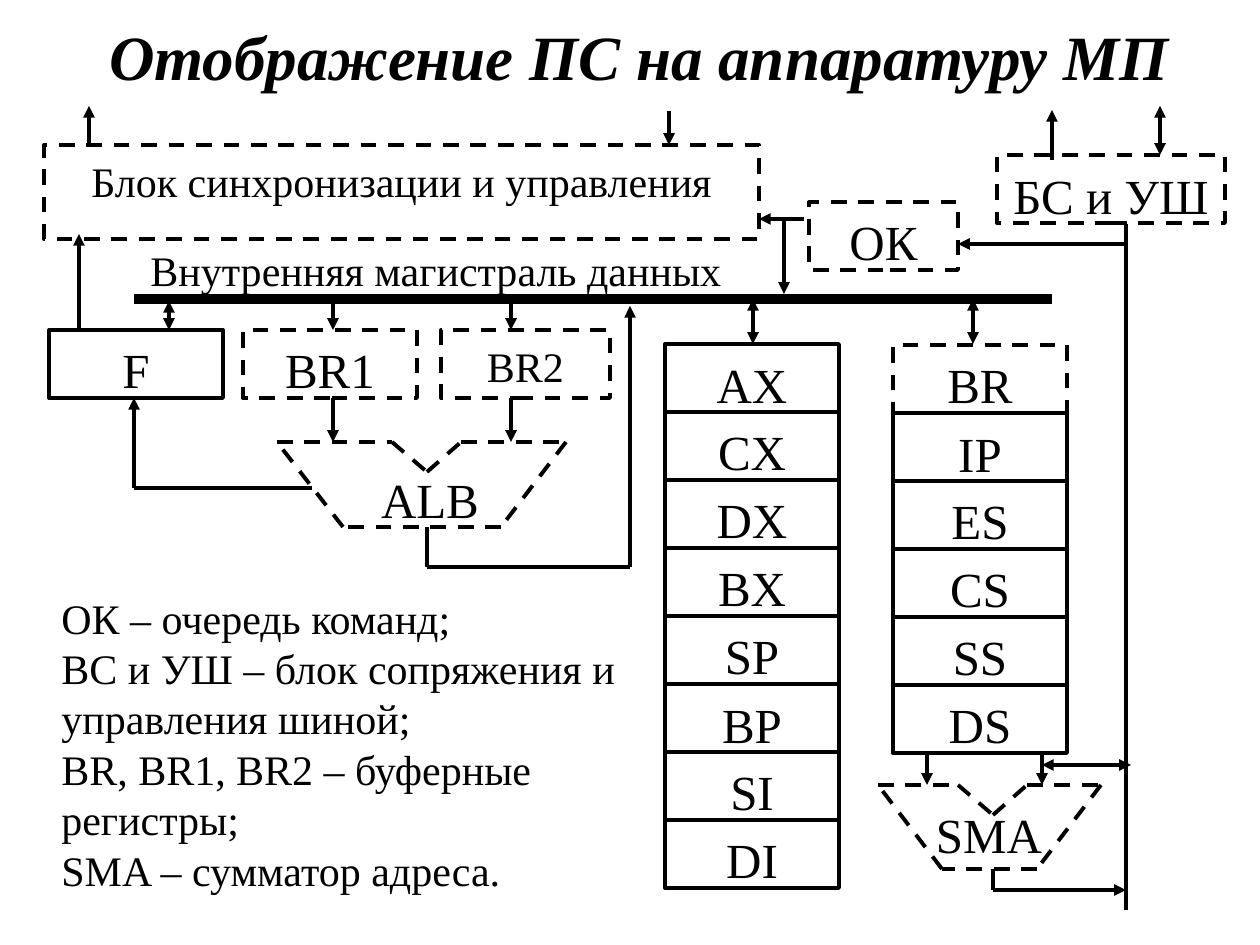
from pptx import Presentation
from pptx.dml.color import RGBColor
from pptx.enum.dml import MSO_LINE_DASH_STYLE as Dash
from pptx.enum.shapes import MSO_CONNECTOR, MSO_SHAPE
from pptx.enum.text import MSO_ANCHOR as Anchor, PP_ALIGN as Align
from pptx.oxml.ns import qn
from pptx.util import Pt
from lxml.etree import SubElement

BLACK = RGBColor(0, 0, 0)
FONT = "Times New Roman"
PX = 914400 / 126
THIN, THICK = 2.25, 6
REG_W, REG_H = 174, 68

TITLE = "Отображение ПС на аппаратуру МП"
LEGEND = [
    "ОК – очередь команд;",
    "ВС и УШ – блок сопряжения и управления шиной;",
    "BR, BR1, BR2 – буферные регистры;",
    "SMA – сумматор адреса.",
]
GENERAL_REGISTERS = ["AX", "CX", "DX", "BX", "SP", "BP", "SI", "DI"]
ADDRESS_REGISTERS = ["BR", "IP", "ES", "CS", "SS", "DS"]
BLOCKS = [
    ("Блок синхронизации и управления", (44, 145, 715, 94), 24, True),
    ("ОК", (809, 202, 149, REG_H), 28, True),
    ("БС и УШ", (997, 155, 228, REG_H), 28, True),
    ("F", (49, 330, REG_W, REG_H), 28, False),
    ("BR1", (243, 330, REG_W, REG_H), 28, True),
    ("BR2", (441, 330, 169, REG_H), 24, True),
]
BLOCKS += [(name, (665, 344 + i * REG_H, REG_W, REG_H), 28, False)
           for i, name in enumerate(GENERAL_REGISTERS)]
BLOCKS += [(name, (893, 345 + i * REG_H, REG_W, REG_H), 28, name == "BR")
           for i, name in enumerate(ADDRESS_REGISTERS)]
LABELS = [
    ("Внутренняя магистраль данных", (84, 234, 704, 68), 24),
    ("ALB", (343, 460, REG_W, REG_H), 28),
    ("SMA", (902, 795, REG_W, REG_H), 28),
]
ADDERS = [
    [(277, 442), (392, 442), (427, 472), (461, 442), (566, 442), (501, 527), (343, 527)],
    [(878, 785), (958, 785), (993, 815), (1027, 785), (1101, 785), (1037, 869), (942, 869)],
]
PLAIN_LINES = [
    (427, 527, 427, 567), (427, 567, 630, 567), (134, 488, 312, 488),
    (993, 869, 993, 890), (1126, 224, 1126, 910),
]
ARROWS = [
    (333, 398, 333, 442), (511, 398, 511, 442), (511, 301, 511, 330),
    (333, 301, 333, 330), (993, 890, 1126, 890), (630, 567, 630, 306),
    (927, 755, 927, 785), (1042, 755, 1042, 785), (784, 219, 784, 294),
    (79, 329, 79, 234), (134, 488, 134, 398), (1052, 160, 1052, 110),
    (89, 145, 89, 106), (669, 111, 669, 145), (1126, 244, 958, 244),
    (804, 219, 759, 219),
]
TWO_WAY_ARROWS = [
    (1160, 106, 1160, 155), (973, 299, 973, 344), (169, 301, 169, 330),
    (753, 299, 753, 344), (1042, 765, 1131, 765),
]
BUS = (134, 299, 1052, 299)


def emu(values):
    return [round(v * PX) for v in values]


def write(shape, paragraphs, size, align=Align.CENTER, anchor=Anchor.TOP, bold=False):
    frame = shape.text_frame
    frame.word_wrap = True
    frame.vertical_anchor = anchor
    frame.margin_top = round(10 * PX)
    for i, text in enumerate(paragraphs):
        paragraph = frame.paragraphs[0] if i == 0 else frame.add_paragraph()
        paragraph.alignment = align
        paragraph.line_spacing = Pt(size * 1.2)
        run = paragraph.add_run()
        run.text = text
        run.font.name = FONT
        run.font.size = Pt(size)
        run.font.bold = run.font.italic = bold
        run.font.color.rgb = BLACK


def stroke(line, width=THIN, dashed=False):
    line.color.rgb = BLACK
    line.width = Pt(width)
    if dashed:
        line.dash_style = Dash.DASH


def connect(ends, width=THIN, dashed=False, arrows=()):
    connector = slide.shapes.add_connector(MSO_CONNECTOR.STRAIGHT, *emu(ends))
    stroke(connector.line, width, dashed)
    properties = connector._element.spPr
    for end in arrows:
        SubElement(properties.find(qn("a:ln")), qn(end), type="triangle")
    SubElement(properties, qn("a:effectLst"))


prs = Presentation()
prs.slide_width, prs.slide_height = emu((1260, 945))
slide = prs.slides.add_slide(prs.slide_layouts[6])

title = slide.shapes.add_textbox(*emu((26, 16, 1226, 74)))
write(title, [TITLE], 36, anchor=Anchor.MIDDLE, bold=True)
legend = slide.shapes.add_textbox(*emu((49, 582, 615, 333)))
write(legend, LEGEND, 24, Align.LEFT)

for name, box, size, dashed in BLOCKS:
    block = slide.shapes.add_shape(MSO_SHAPE.RECTANGLE, *emu(box))
    block.shadow.inherit = False
    block.fill.background()
    stroke(block.line, dashed=dashed)
    write(block, [name], size)

connect(BUS, THICK)
for outline in ADDERS:
    for start, end in zip(outline, outline[1:] + outline[:1]):
        connect(start + end, dashed=True)
for ends in PLAIN_LINES:
    connect(ends)
for ends in ARROWS:
    connect(ends, arrows=["a:tailEnd"])
for ends in TWO_WAY_ARROWS:
    connect(ends, arrows=["a:headEnd", "a:tailEnd"])

for name, box, size in LABELS:
    write(slide.shapes.add_textbox(*emu(box)), [name], size)

prs.save("out.pptx")
